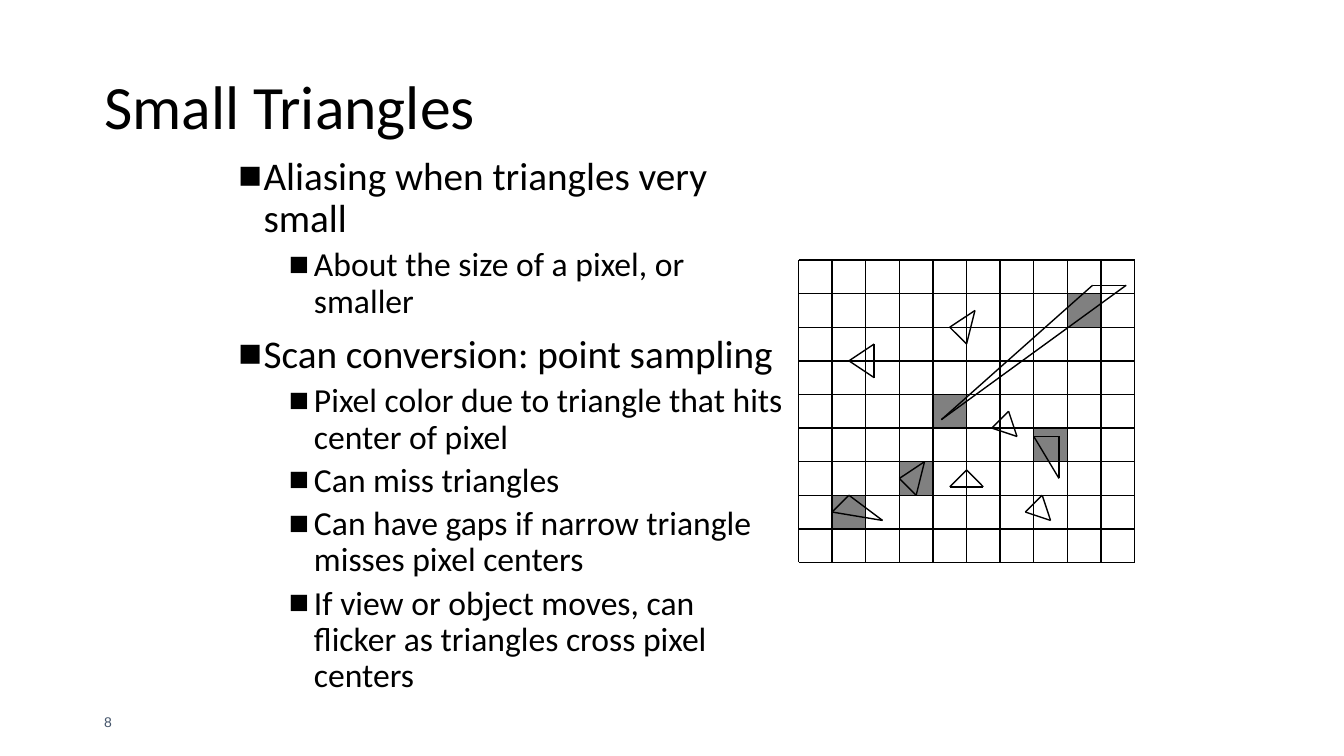
import itertools

import lxml.etree
import pptx
import pptx.dml.color
import pptx.enum.shapes
import pptx.enum.text
import pptx.oxml.ns
import pptx.util

SLIDE_WIDTH, SLIDE_HEIGHT = 13.33, 7.5

# Pixel raster: each pixel is a third of an inch, split into four steps
RASTER_LEFT, RASTER_TOP = 7.92, 2.58
COLUMNS, ROWS, STEPS = 10, 9, 4
STEP = 1 / 12

COVERED_PIXELS = [(7, 5), (3, 6), (4, 4), (8, 1), (1, 7)]  # column, row
TRIANGLES = [  # corners in steps from the raster's top left
    [(9, 10), (6, 12), (9, 14)],
    [(21, 6), (18, 8), (20, 10)],
    [(15, 24), (12, 26), (14, 28)],
    [(25, 18), (23, 20), (26, 21)],
    [(20, 25), (18, 27), (22, 27)],
    [(29, 28), (27, 30), (30, 31)],
    [(6, 28), (4, 30), (10, 31)],
    [(35, 3), (17, 19), (39, 3)],
    [(31, 21), (28, 21), (31, 26)],
]
BULLETS = [  # level, text
    (0, "Aliasing when triangles very small"),
    (1, "About the size of a pixel, or smaller"),
    (0, "Scan conversion: point sampling"),
    (1, "Pixel color due to triangle that hits center of pixel"),
    (1, "Can miss triangles"),
    (1, "Can have gaps if narrow triangle misses pixel centers"),
    (1, "If view or object moves, can flicker as triangles cross pixel centers"),
]


def color(value):
    return pptx.dml.color.RGBColor.from_string(value)


def raster_point(column_step, row_step):
    return (pptx.util.Inches(RASTER_LEFT + column_step * STEP),
            pptx.util.Inches(RASTER_TOP + row_step * STEP))


class SlideBuilder:
    ink, pixel_fill, number_ink = "000000", "808080", "44546A"
    text_font, number_font = "Calibri", "Arial"
    level_sizes, level_spaces = (28, 24), (10, 5)
    level_indents, hanging = (0.25, 0.75), 0.25

    def __init__(self, presentation):
        self.presentation = presentation
        self.slide = presentation.slides.add_slide(presentation.slide_layouts[5])

    def box(self, left, top, width, height):
        """Turn shares of the slide's size into lengths."""
        across, down = self.presentation.slide_width, self.presentation.slide_height
        return int(left * across), int(top * down), int(width * across), int(height * down)

    def format_runs(self, paragraph, size, font_name, ink):
        for run in paragraph.runs:
            run.font.size = pptx.util.Pt(size)
            run.font.name = font_name
            run.font.color.rgb = color(ink)

    def title(self, text, *shares):
        shape = self.slide.shapes.title
        shape.left, shape.top, shape.width, shape.height = self.box(*shares)
        frame = shape.text_frame
        frame.text = text
        frame.auto_size = pptx.enum.text.MSO_AUTO_SIZE.NONE
        frame.vertical_anchor = pptx.enum.text.MSO_ANCHOR.MIDDLE
        paragraph = frame.paragraphs[0]
        paragraph.alignment = pptx.enum.text.PP_ALIGN.LEFT
        paragraph.line_spacing = 0.9
        self.format_runs(paragraph, 44, self.text_font, self.ink)

    def text_box(self, *shares):
        frame = self.slide.shapes.add_textbox(*self.box(*shares)).text_frame
        frame.word_wrap = True
        return frame

    def page_number(self, text, *shares):
        frame = self.text_box(*shares)
        frame.vertical_anchor = pptx.enum.text.MSO_ANCHOR.MIDDLE
        frame.text = text
        self.format_runs(frame.paragraphs[0], 10, self.number_font, self.number_ink)

    def add_bullet(self, paragraph, level):
        properties = paragraph._p.get_or_add_pPr()
        properties.set("marL", str(pptx.util.Inches(self.level_indents[level])))
        properties.set("indent", str(-pptx.util.Inches(self.hanging)))
        for tag, name, value in (("a:buFont", "typeface", "Arial"), ("a:buChar", "char", "■")):
            element = lxml.etree.SubElement(properties, pptx.oxml.ns.qn(tag))
            element.set(name, value)

    def bullet_list(self, items, *shares):
        frame = self.text_box(*shares)
        for index, (level, text) in enumerate(items):
            paragraph = frame.add_paragraph() if index else frame.paragraphs[0]
            paragraph.text = text
            paragraph.level = level
            self.add_bullet(paragraph, level)
            paragraph.line_spacing = 0.9
            if index:
                paragraph.space_before = pptx.util.Pt(self.level_spaces[level])
            self.format_runs(paragraph, self.level_sizes[level], self.text_font, self.ink)

    def pixel(self, column, row):
        side = pptx.util.Inches(STEPS * STEP)
        shape = self.slide.shapes.add_shape(
            pptx.enum.shapes.MSO_SHAPE.RECTANGLE,
            *raster_point(column * STEPS, row * STEPS), side, side)
        shape.shadow.inherit = False
        shape.fill.solid()
        shape.fill.fore_color.rgb = color(self.pixel_fill)
        shape.line.fill.background()

    def line(self, start, end):
        connector = self.slide.shapes.add_connector(
            pptx.enum.shapes.MSO_CONNECTOR.STRAIGHT, *raster_point(*start), *raster_point(*end))
        connector.line.color.rgb = color(self.ink)
        connector.line.width = pptx.util.Pt(1)
        lxml.etree.SubElement(connector._element.spPr, pptx.oxml.ns.qn("a:effectLst"))

    def raster(self, columns, rows):
        right, bottom = columns * STEPS, rows * STEPS
        for y in range(0, bottom + 1, STEPS):
            self.line((0, y), (right, y))
        for x in range(0, right + 1, STEPS):
            self.line((x, 0), (x, bottom))

    def triangle(self, corners):
        for start, end in itertools.combinations(corners, 2):
            self.line(start, end)


def main():
    presentation = pptx.Presentation()
    presentation.slide_width = pptx.util.Inches(SLIDE_WIDTH)
    presentation.slide_height = pptx.util.Inches(SLIDE_HEIGHT)
    builder = SlideBuilder(presentation)

    # Page number
    builder.page_number("8", 0.07, 0.93, 0.22, 0.05)

    # Raster with covered pixels and small triangles
    for column, row in COVERED_PIXELS:
        builder.pixel(column, row)
    builder.raster(COLUMNS, ROWS)
    for corners in TRIANGLES:
        builder.triangle(corners)

    # Title and bullets
    builder.title("Small Triangles", 0.07, 0.05, 0.86, 0.19)
    builder.bullet_list(BULLETS, 0.17, 0.2, 0.42, 0.74)

    presentation.save("out.pptx")


if __name__ == "__main__":
    main()
